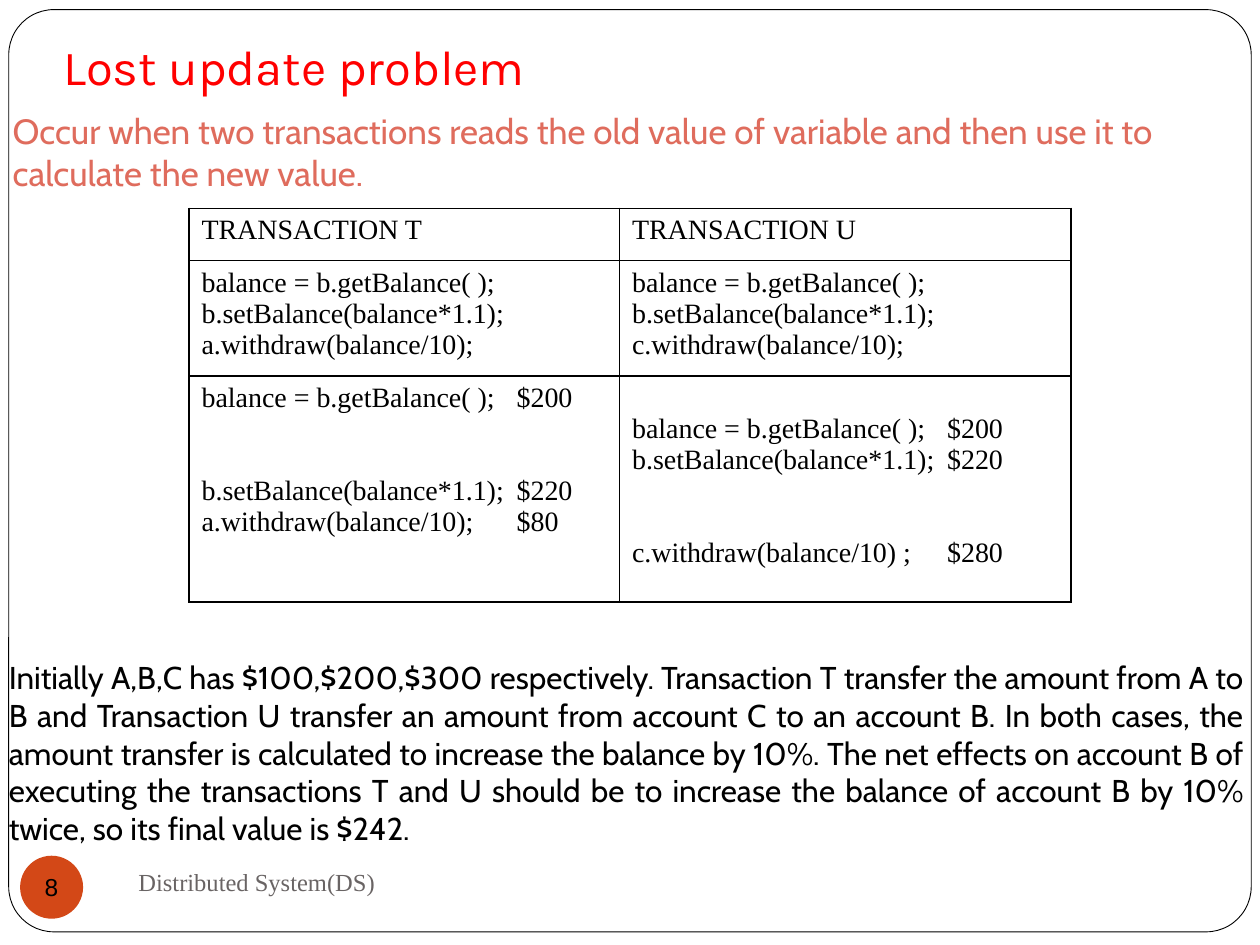
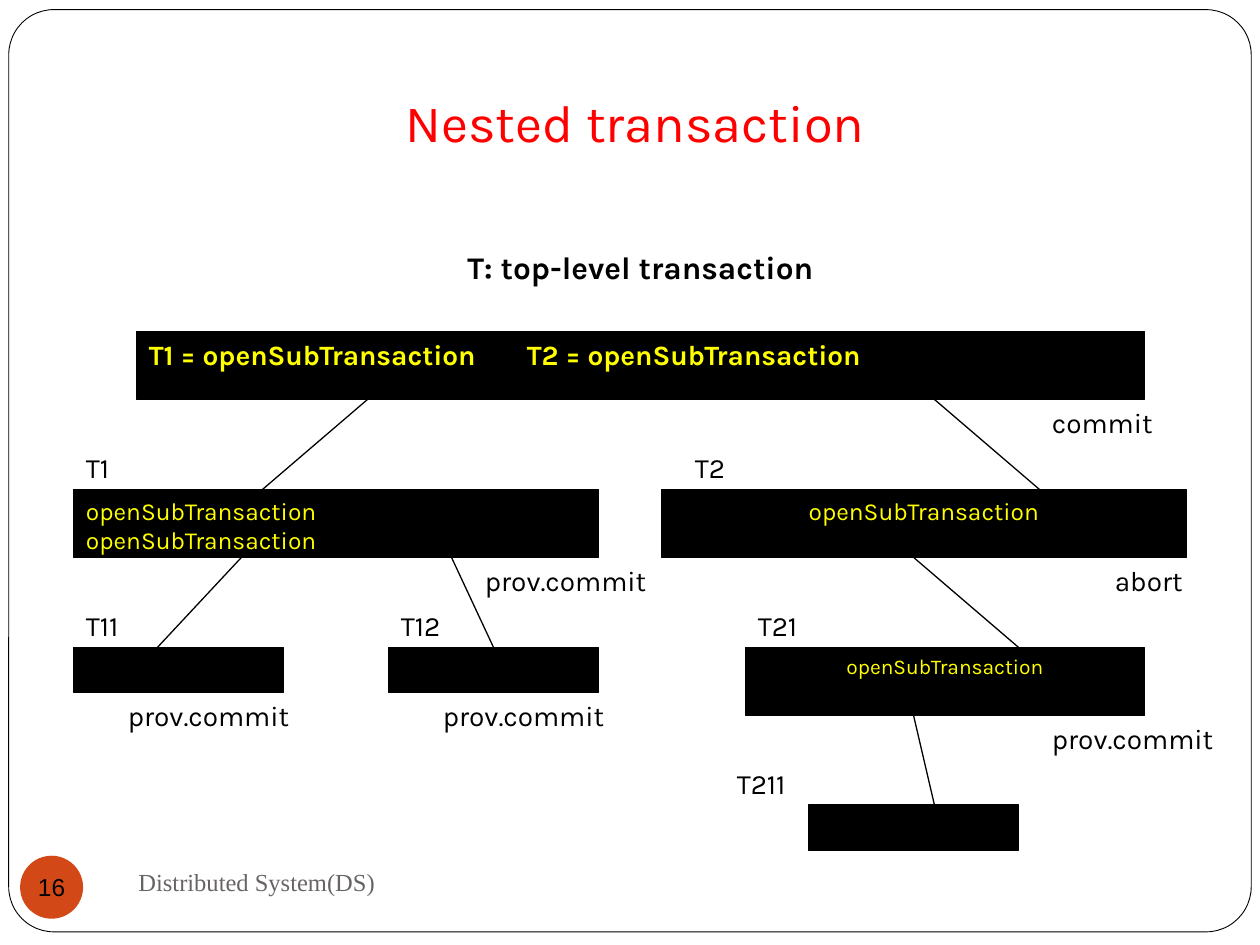
from dataclasses import dataclass

from lxml import etree
from pptx import Presentation
from pptx.dml.color import RGBColor
from pptx.enum.shapes import MSO_CONNECTOR, MSO_SHAPE
from pptx.enum.text import MSO_ANCHOR, MSO_AUTO_SIZE, PP_ALIGN
from pptx.oxml.ns import qn
from pptx.util import Pt

ROUNDED, OVAL, RECT = MSO_SHAPE.ROUNDED_RECTANGLE, MSO_SHAPE.OVAL, MSO_SHAPE.RECTANGLE
STRAIGHT = MSO_CONNECTOR.STRAIGHT
TOP, MIDDLE = MSO_ANCHOR.TOP, MSO_ANCHOR.MIDDLE
LEFT, CENTER, JUSTIFY = PP_ALIGN.LEFT, PP_ALIGN.CENTER, PP_ALIGN.JUSTIFY
NO_FIT = MSO_AUTO_SIZE.NONE

BLACK, WHITE, RED, YELLOW = "000000", "FFFFFF", "FF0000", "FFFF00"
CORAL, ORANGE, GREY = "DF6C5D", "D34817", "696464"
KARLA, CABIN, TIMES = "Karla", "Cabin", "Times New Roman"


@dataclass(frozen=True)
class Style:
    font: str
    size: float
    color: str = BLACK
    bold: bool = False
    align: PP_ALIGN = LEFT


@dataclass(frozen=True)
class Step:
    """A code line of a table cell, with the amount it gives."""
    code: str
    amount: str = ""
    tab: float = 0
    lines_before: int = 0


@dataclass(frozen=True)
class Transaction:
    """A bar of the tree; labels stand above it, outcomes below it."""
    level: int
    left: float
    width: float
    name: str = ""
    name_left: float = 0
    outcome: str = "prov.commit"
    outcome_left: float = 0
    outcome_width: float = 108
    height: float = 38.8
    calls: tuple[str, ...] = ()
    style: Style = Style(KARLA, 14, YELLOW)

    @property
    def top(self) -> float:
        return 189.5 + 90.2 * self.level

    @property
    def bottom(self) -> float:
        return self.top + self.height


@dataclass(frozen=True)
class Branch:
    parent: str
    child: str
    x1: float
    x2: float


SHORT = 25.8
LINE_HEIGHT = 17.7
CODE = Style(TIMES, 16)
LABEL = Style(KARLA, 16)
FOOTER = Style(TIMES, 14, GREY)

GET, SET = "balance = b.getBalance( );", "b.setBalance(balance*1.1);"
TAKE_A, TAKE_C = "a.withdraw(balance/10);", "c.withdraw(balance/10);"
SCHEDULE = [
    [[Step("TRANSACTION T")], [Step("TRANSACTION U")]],
    [[Step(GET), Step(SET), Step(TAKE_A)], [Step(GET), Step(SET), Step(TAKE_C)]],
    [[Step(GET, "$200", 191.5), Step(SET, "$220", 192.5, 2), Step(TAKE_A, "$80", 191.5)],
     [Step(GET, "$200", 187.5, 1), Step(SET, "$220", 192.5),
      Step("c.withdraw(balance/10) ;", "$280", 195.5, 2)]],
]
COLUMN_WIDTHS, ROW_HEIGHTS = (246, 258), (30, 66, 129)

OPEN = "openSubTransaction"
TREE = {
    "T": Transaction(0, 78, 576, outcome="commit", outcome_left=594, outcome_width=84,
                     calls=(f"T1 = {OPEN}\tT2 = {OPEN}",),
                     style=Style(KARLA, 16, YELLOW, True)),
    "T1": Transaction(1, 42, 300, "T1", 42, outcome_left=270, calls=(OPEN, OPEN)),
    "T2": Transaction(1, 378, 300, "T2", 390, "abort", 630, 60, calls=(OPEN,),
                      style=Style(KARLA, 14, YELLOW, align=CENTER)),
    "T11": Transaction(2, 42, 120, "T11", 42, outcome_left=66, height=SHORT),
    "T12": Transaction(2, 222, 120, "T12", 222, outcome_left=246, height=SHORT),
    "T21": Transaction(2, 426, 228, "T21", 426, outcome_left=594, calls=(OPEN,),
                       style=Style(KARLA, 12, YELLOW, align=CENTER)),
    "T211": Transaction(3, 462, 120, "T211", 414, "", height=SHORT),
}
BRANCHES = [
    Branch("T", "T1", 210, 150), Branch("T", "T2", 534, 594),
    Branch("T1", "T11", 138, 90), Branch("T1", "T12", 258, 282),
    Branch("T2", "T21", 522, 582), Branch("T21", "T211", 522, 534),
]

DEFINITION = ("Occur when two transactions reads the old value of variable and then "
              "use it to calculate the new value.")
EXPLANATION = (
    "Initially A,B,C has $100,$200,$300 respectively. Transaction T transfer the amount "
    "from A to B and Transaction U transfer an amount from account C to an account B. In "
    "both cases, the amount transfer is calculated to increase the balance by 10%. The net "
    "effects on account B of executing the transactions T and U should be to increase the "
    "balance of account B by 10% twice, so its final value is $242.")


def rgb(value: str) -> RGBColor:
    return RGBColor.from_string(value)


def put_text(p, text: str, style: Style, tab: float = 0, before: float = 0) -> None:
    """Fill a paragraph without a bullet, with one tab stop if asked for."""
    pPr = p._p.get_or_add_pPr()
    for name, value in {"marL": "0", "indent": "0"}.items():
        pPr.set(name, value)
    etree.SubElement(pPr, qn("a:buNone"))
    if tab:
        stops = etree.SubElement(pPr, qn("a:tabLst"))
        etree.SubElement(stops, qn("a:tab"), pos=str(Pt(tab)), algn="l")
    p.alignment, p.space_before = style.align, Pt(before)
    r = p.add_run()
    r.text = text
    for name, value in {"name": style.font, "size": Pt(style.size), "bold": style.bold}.items():
        setattr(r.font, name, value)
    r.font.color.rgb = rgb(style.color)


def put_lines(sp, lines: tuple[str, ...], style: Style, anchor=TOP, tab: float = 0) -> None:
    tf = sp.text_frame
    for name, value in {"word_wrap": True, "auto_size": NO_FIT, "vertical_anchor": anchor}.items():
        setattr(tf, name, value)
    for i, line in enumerate(lines):
        put_text(tf.add_paragraph() if i else tf.paragraphs[0], line, style, tab)


def add_text(s, text: str, style: Style, box: tuple, anchor=TOP) -> None:
    put_lines(s.shapes.add_textbox(*map(Pt, box)), (text,), style, anchor)


def fill_placeholder(sp, text: str, style: Style, box: tuple) -> None:
    for name, value in zip(("left", "top", "width", "height"), box):
        setattr(sp, name, Pt(value))
    put_lines(sp, (text,), style)


def add_shape(s, kind, box: tuple, fill: str, line_width: float = 0):
    sp = s.shapes.add_shape(kind, *map(Pt, box))
    sp.shadow.inherit = False
    sp.fill.solid()
    sp.fill.fore_color.rgb = rgb(fill)
    if line_width:
        sp.line.color.rgb = rgb(BLACK)
        sp.line.width = Pt(line_width)
    else:
        sp.line.fill.background()
    return sp


def add_frame_to_master(prs, s) -> None:
    """Draw the rounded frame and move it behind everything on the master."""
    sp = add_shape(s, ROUNDED, (5, 5.5, 710, 527), WHITE, 0.5)
    sp.adjustments[0] = 0.049
    sp._element.nvSpPr.cNvPr.set("id", "100")
    prs.slide_master.shapes._spTree.insert(2, sp._element)


def add_footer(s, number: int) -> None:
    sp = add_shape(s, OVAL, (11.5, 489, 36, 36), ORANGE)
    put_lines(sp, (str(number),), Style("Arial", 14, align=CENTER), MIDDLE)
    tf = sp.text_frame
    for side in ("left", "top", "right", "bottom"):
        setattr(tf, f"margin_{side}", 0)
    tf.word_wrap = False
    add_text(s, "Distributed System(DS)", FOOTER, (72, 486, 312, 36), MIDDLE)


def add_borders(cell) -> None:
    tcPr = cell._tc.get_or_add_tcPr()
    for side in ("lnL", "lnR", "lnT", "lnB"):
        ln = etree.SubElement(tcPr, qn(f"a:{side}"), w=str(Pt(1)))
        fill = etree.SubElement(ln, qn("a:solidFill"))
        etree.SubElement(fill, qn("a:srgbClr"), val=BLACK)


def fill_cell(cell, steps: list[Step]) -> None:
    add_borders(cell)
    cell.fill.background()
    cell.margin_top = Pt(3.6 + steps[0].lines_before * LINE_HEIGHT)
    tf = cell.text_frame
    for i, step in enumerate(steps):
        p = tf.add_paragraph() if i else tf.paragraphs[0]
        text = f"{step.code}\t{step.amount}" if step.amount else step.code
        put_text(p, text, CODE, step.tab, step.lines_before * LINE_HEIGHT if i else 0)


def add_schedule(s) -> None:
    box = (108, 119, sum(COLUMN_WIDTHS), sum(ROW_HEIGHTS))
    table = s.shapes.add_table(len(ROW_HEIGHTS), len(COLUMN_WIDTHS), *map(Pt, box)).table
    table.first_row = table.horz_banding = False
    for column, width in zip(table.columns, COLUMN_WIDTHS):
        column.width = Pt(width)
    for row, height, contents in zip(table.rows, ROW_HEIGHTS, SCHEDULE):
        row.height = Pt(height)
        for cell, steps in zip(row.cells, contents):
            fill_cell(cell, steps)


def add_transaction(s, t: Transaction):
    sp = add_shape(s, RECT, (t.left, t.top, t.width, t.height), BLACK, 0.75)
    if t.calls:
        put_lines(sp, t.calls, t.style, tab=0 if t.level else 288)
    if t.name:
        add_text(s, t.name, LABEL, (t.name_left, t.top - SHORT, 72, SHORT))
    if t.outcome:
        add_text(s, t.outcome, LABEL, (t.outcome_left, t.bottom, t.outcome_width, SHORT))
    return sp


def add_branch(s, branch: Branch, bars: dict) -> None:
    parent, child = TREE[branch.parent], TREE[branch.child]
    ends = (branch.x1, parent.bottom, branch.x2, child.top)
    c = s.shapes.add_connector(STRAIGHT, *map(Pt, ends))
    c.line.color.rgb = rgb(BLACK)
    c.line.width = Pt(0.75)
    etree.SubElement(c._element.spPr, qn("a:effectLst"))
    if branch.x1 == parent.left + parent.width / 2:
        c.begin_connect(bars[branch.parent], 2)
    if branch.x2 == child.left + child.width / 2:
        c.end_connect(bars[branch.child], 0)


def build_lost_update(prs) -> None:
    s = prs.slides.add_slide(prs.slide_layouts[1])
    add_frame_to_master(prs, s)
    fill_placeholder(s.shapes.title, "Lost update problem", Style(KARLA, 28, RED),
                     (29, 17.5, 456, 41))
    fill_placeholder(s.placeholders[1], DEFINITION, Style(CABIN, 20, CORAL), (0, 59, 720, 55.5))
    add_schedule(s)
    add_text(s, EXPLANATION, Style(CABIN, 18, align=JUSTIFY), (-2, 372.5, 720, 116.5))
    add_footer(s, 8)


def build_nested_transaction(prs) -> None:
    s = prs.slides.add_slide(prs.slide_layouts[5])
    fill_placeholder(s.shapes.title, "Nested transaction", Style(KARLA, 30, RED, align=CENTER),
                     (168, 48, 390, 44))
    add_text(s, "T: top-level transaction", Style(KARLA, 18, bold=True, align=CENTER),
             (246, 138, 240, 39))
    bars = {name: add_transaction(s, t) for name, t in TREE.items()}
    for branch in BRANCHES:
        add_branch(s, branch, bars)
    add_footer(s, 16)


def main() -> None:
    prs = Presentation()
    prs.slide_width, prs.slide_height = Pt(720), Pt(540)
    build_lost_update(prs)
    build_nested_transaction(prs)
    prs.save("out.pptx")


if __name__ == "__main__":
    main()
